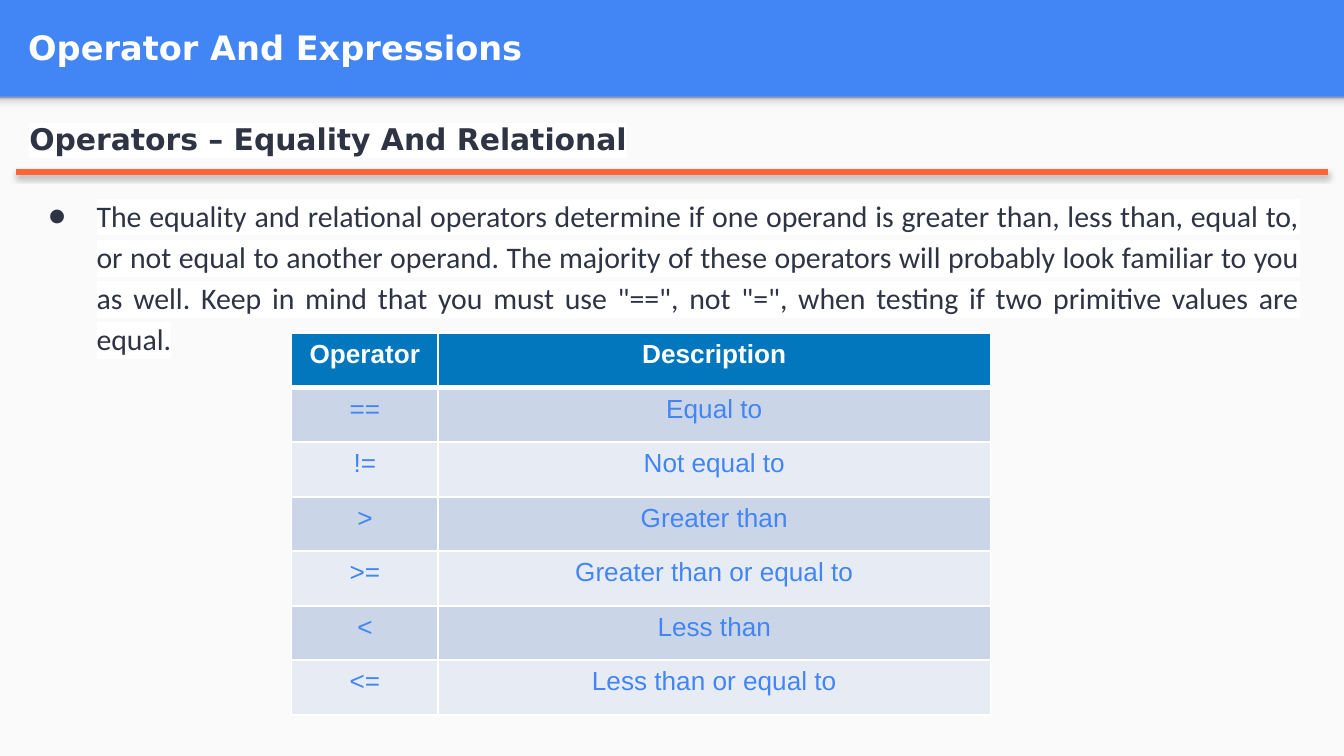
from lxml.etree import SubElement
from pptx import Presentation
from pptx.dml.color import RGBColor
from pptx.enum.shapes import MSO_CONNECTOR as Line, MSO_SHAPE as Shape
from pptx.enum.text import MSO_ANCHOR as Anchor, PP_ALIGN as Align
from pptx.oxml.ns import qn
from pptx.util import Emu, Inches, Pt

TITLE = "Operator And Expressions"
HEAD = "Operators – Equality And Relational"
BODY = (
    "The equality and relational operators determine if one operand is "
    "greater than, less than, equal to, or not equal to another operand. "
    "The majority of these operators will probably look familiar to you as "
    "well. Keep in mind that you must use \"==\", not \"=\", when testing if "
    "two primitive values are equal."
)
ROWS = [
    ("Operator", "Description"),
    ("==", "Equal to"),
    ("!=", "Not equal to"),
    (">", "Greater than"),
    (">=", "Greater than or equal to"),
    ("<", "Less than"),
    ("<=", "Less than or equal to"),
]
COLS = (1.09, 4.11)
BLUE, WHITE, INK, PAPER = "4285F4", "FFFFFF", "2E3444", "FAFAFA"
ORANGE, TOP, BANDS = "FC6536", "0277BD", ("E6EBF4", "CAD5E7")
FADE = [(0, "F9F9F9"), (36, "F9F9F9"), (80, "DEDEDE"), (100, "999999")]
WIDE, BAR, DEEP = 10, 0.72, 2.84
HIGH = WIDE * 9 / 16


def rgb(code):
    return RGBColor.from_string(code)


def add(node, tag, **attrs):
    return SubElement(node, qn("a:" + tag), {k: str(v) for k, v in attrs.items()})


def paint(fill, code):
    fill.solid()
    fill.fore_color.rgb = rgb(code)


def style(para, size, face, code, bold=False):
    font = para.font
    font.size, font.name, font.bold = Pt(size), face, bold
    font.color.rgb = rgb(code)


def box(top, high):
    """Add a plain full-width rectangle."""
    shape = slide.shapes.add_shape(
        Shape.RECTANGLE, 0, Inches(top), Inches(WIDE), Inches(high))
    shape.shadow.inherit = False
    shape.line.fill.background()
    return shape


def inset(frame):
    frame.word_wrap = True
    frame.margin_left = frame.margin_right = Inches(0.1)
    frame.margin_top = frame.margin_bottom = Inches(0.1)


def mark(para, text):
    """Add a run with a white highlight."""
    run = para.add_run()
    run.text = text
    light = add(run._r.get_or_add_rPr(), "highlight")
    add(light, "srgbClr", val=WHITE)
    para.line_spacing = 1.15


def edge(cell, base):
    """Give a cell white borders, with the bottom one of the given width."""
    props = cell._tc.get_or_add_tcPr()
    for side, width in (("L", 1), ("R", 1), ("T", 1), ("B", base)):
        line = add(props, "ln" + side, w=Pt(width))
        add(add(line, "solidFill"), "srgbClr", val=WHITE)


deck = Presentation()
deck.slide_width, deck.slide_height = Inches(WIDE), Inches(HIGH)
slide = deck.slides.add_slide(deck.slide_layouts[5])
paint(slide.background.fill, BLUE)

# Page panel and the fading shade below the title bar
paint(box(BAR, HIGH - BAR).fill, PAPER)
shade = box(BAR, 0.12).fill
shade.gradient()
shade.gradient_angle = 90
stops = shade.gradient_stops[0]._gs.getparent()
stops.clear()
for pos, code in FADE:
    add(add(stops, "gs", pos=pos * 1000), "srgbClr", val=code)

# Title
title = slide.shapes.title
title.left, title.top = Inches(0.11), Inches(0.02)
title.width, title.height = Inches(9.65), Inches(0.66)
frame = title.text_frame
inset(frame)
frame.text, frame.vertical_anchor = TITLE, Anchor.MIDDLE
para = frame.paragraphs[0]
para.alignment = Align.LEFT
style(para, 18, "DejaVu Sans", WHITE, True)

# Heading and bullet
frame = slide.shapes.add_textbox(
    Inches(0.12), Inches(0.76), Inches(9.65), Inches(1.98)).text_frame
inset(frame)
para = frame.paragraphs[0]
mark(para, HEAD)
style(para, 16, "DejaVu Sans", INK, True)

para = frame.add_paragraph()
props = para._p.get_or_add_pPr()
props.set("marL", str(Inches(0.5)))
props.set("indent", str(Inches(-0.36)))
add(add(props, "buClr"), "srgbClr", val=INK)
add(props, "buFont", typeface="Calibri")
add(props, "buChar", char="●")
mark(para, BODY)
para.alignment, para.space_before = Align.JUSTIFY, Pt(19)
style(para, 16, "Calibri", INK)

# Rule under the heading
rule = slide.shapes.add_connector(
    Line.STRAIGHT, Inches(0.12), Inches(1.28), Inches(WIDE - 0.12), Inches(1.28))
rule.line.width, rule.line.color.rgb = Pt(3), rgb(ORANGE)
cast = add(add(rule._element.spPr, "effectLst"), "outerShdw", blurRad=Pt(3.1),
           dist=Pt(1.8), dir=90 * 60000, algn="ctr", rotWithShape=0)
add(add(cast, "srgbClr", val="000000"), "alpha", val=35000)

# Operator table
grid = slide.shapes.add_table(
    len(ROWS), len(COLS), Inches(2.17), Inches(2.48),
    Inches(sum(COLS)), Inches(DEEP)).table
for col, width in zip(grid.columns, COLS):
    col.width = Inches(width)
for r, row in enumerate(ROWS):
    grid.rows[r].height = Emu(Inches(DEEP) // len(ROWS))
    for c, text in enumerate(row):
        cell = grid.cell(r, c)
        edge(cell, 1 if r else 3)
        paint(cell.fill, BANDS[r % 2] if r else TOP)
        cell.text = text
        para = cell.text_frame.paragraphs[0]
        para.alignment = Align.CENTER
        style(para, 14, "Arial", BLUE if r else WHITE, r == 0)

deck.save("out.pptx")
